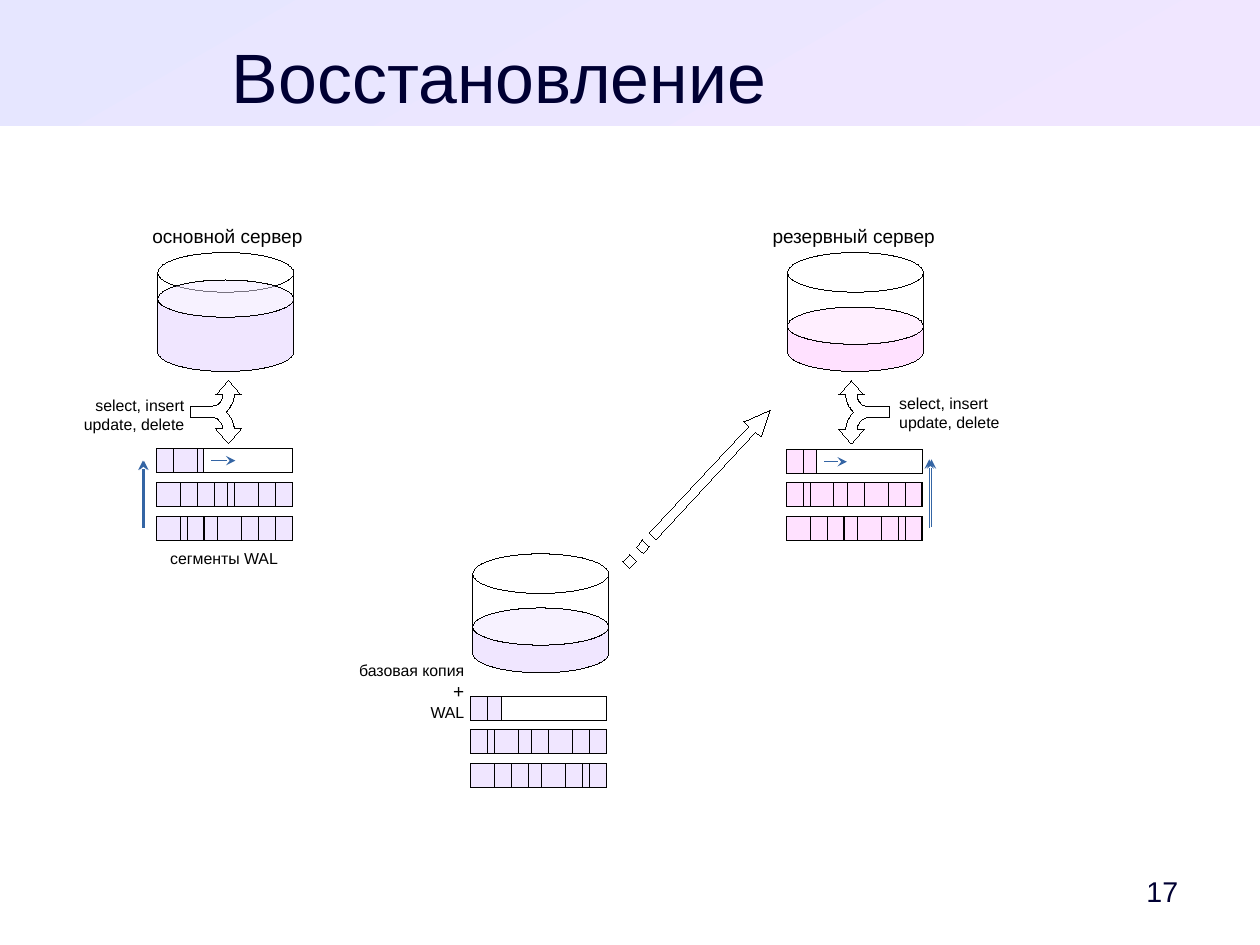
from dataclasses import dataclass
from math import cos, pi, sin
from typing import Optional

from lxml.etree import SubElement
from pptx import Presentation
from pptx.dml.color import RGBColor
from pptx.enum.shapes import MSO_CONNECTOR, MSO_SHAPE
from pptx.enum.text import MSO_ANCHOR, MSO_AUTO_SIZE, PP_ALIGN
from pptx.oxml.ns import qn
from pptx.shapes.base import BaseShape
from pptx.shapes.shapetree import SlideShapes
from pptx.util import Pt

BLACK = RGBColor(0x00, 0x00, 0x00)
WHITE = RGBColor(0xFF, 0xFF, 0xFF)
NAVY = RGBColor(0x00, 0x00, 0x33)
BLUE = RGBColor(0x34, 0x65, 0xA4)
ICE = RGBColor(0xE6, 0xE6, 0xFF)
LILAC = RGBColor(0xF0, 0xE6, 0xFF)
PINK = RGBColor(0xFF, 0xE1, 0xFF)

SLIDE_W, SLIDE_H = 793.7, 595.28
HAIRLINE = 0.01
DISK_W, DISK_H = 85.6, 74.9
LEVEL_RY = 11.7
ROW_W, ROW_H, ROW_PITCH = 85.4, 15.1, 21.25
RECORD_W = {"S": 4.3, "M": 8.5, "L": 10.65, "X": 15.0}

Point = tuple[float, float]


@dataclass
class Server:
    disk: Point
    level: float
    wal: Point
    rows: tuple[str, ...]
    color: RGBColor


@dataclass
class Fork:
    center: Point
    side: int


@dataclass
class Arrow:
    start: Point
    end: Point
    width: float


@dataclass
class Label:
    box: tuple[float, float, float, float]
    lines: tuple[tuple[str, float], ...]
    align: PP_ALIGN = PP_ALIGN.CENTER
    color: RGBColor = BLACK
    anchor: MSO_ANCHOR = MSO_ANCHOR.TOP
    inset: Point = (7.2, 3.6)


COPY_ROWS = ("LM", "LSXMLXLL", "XLLMXLSL")
SERVERS = [
    Server((496.1, 159.1), 205.2, (495.4, 283), COPY_ROWS, PINK),
    Server((297.8, 348.9), 394.7, (296.6, 438.5), COPY_ROWS, LILAC),
    Server((99.4, 159.1), 188.1, (98.6, 282.6),
           ("LXS", "XLLMSXLL", "XSLMXLLL"), LILAC),
]
FORKS = [Fork((144, 259.4), 1), Fork((536.4, 259.6), -1)]
ARROWS = [
    Arrow((90.7, 332.6), (90.7, 290.2), HAIRLINE),
    Arrow((90, 332.6), (90, 290.2), 0.85),
    Arrow((133.2, 290.2), (148.3, 290.2), 0.85),
    Arrow((586.8, 332), (586.8, 289.4), HAIRLINE),
    Arrow((585.4, 332.6), (585.4, 289.4), 0.85),
    Arrow((519.1, 290.9), (533.5, 290.9), 0.85),
]
QUERIES = (("select, insert", 10), ("update, delete", 10))
LABELS = [
    Label((33.8, 20.9, 561.6, 49.7), (("Восстановление", 44),),
          color=NAVY, inset=(0, 0)),
    Label((700.9, 544.3, 62.6, 33.8), (("17", 18),),
          color=NAVY, anchor=MSO_ANCHOR.MIDDLE),
    Label((88.6, 137.8, 109.4, 21), (("основной сервер", 12),)),
    Label((479.5, 137.8, 116.6, 21), (("резервный сервер", 12),)),
    Label((100.1, 342, 82.1, 18.7), (("сегменты WAL", 10),)),
    Label((45.1, 245.5, 78, 29.5), QUERIES, PP_ALIGN.RIGHT),
    Label((559.4, 244.1, 78, 29.5), QUERIES, PP_ALIGN.LEFT),
    Label((218.9, 412.6, 80.6, 43.2),
          (("базовая копия", 10), ("+", 12), ("WAL", 10)), PP_ALIGN.RIGHT),
]
RECOVERY_ARROW = [
    [(479.5, 275), (485.2, 258.4), (468.7, 265.7), (471.6, 268.6),
     (409, 335.5), (413.3, 339.8), (475.9, 272.2)],
    [(396.7, 357.8), (392.4, 353.5), (396.7, 349.2), (401, 353.5)],
    [(405.4, 348.5), (401, 344.9), (404.6, 339.8), (409, 344.2)],
]


def style(sp: BaseShape, fill: Optional[RGBColor]) -> None:
    sp.shadow.inherit = False
    if fill is None:
        sp.fill.background()
    else:
        sp.fill.solid()
        sp.fill.fore_color.rgb = fill
    sp.line.color.rgb = BLACK
    sp.line.width = Pt(HAIRLINE)


def add_preset(shapes: SlideShapes, kind: MSO_SHAPE, x: float, y: float,
               w: float, h: float, fill: Optional[RGBColor]) -> BaseShape:
    sp = shapes.add_shape(kind, Pt(x), Pt(y), Pt(w), Pt(h))
    style(sp, fill)
    return sp


def add_outline(shapes: SlideShapes, contours: list[list[Point]],
                fill: RGBColor) -> None:
    emu = [[(Pt(x), Pt(y)) for x, y in contour] for contour in contours]
    builder = shapes.build_freeform(*emu[0][0])
    for i, contour in enumerate(emu):
        if i:
            builder.move_to(*contour[0])
        builder.add_line_segments(contour[1:], close=True)
    style(builder.convert_to_shape(), fill)


def bezier(a: Point, b: Point, c: Point, d: Point, steps: int = 10) -> list[Point]:
    ts = [i / steps for i in range(steps + 1)]
    weights = [((1 - t) ** 3, 3 * t * (1 - t) ** 2, 3 * t * t * (1 - t), t ** 3)
               for t in ts]
    return [(sum(k * p[0] for k, p in zip(w, (a, b, c, d))),
             sum(k * p[1] for k, p in zip(w, (a, b, c, d)))) for w in weights]


def lower_arc(cx: float, cy: float, rx: float, ry: float,
              steps: int = 36) -> list[Point]:
    angles = [pi * i / steps for i in range(steps + 1)]
    return [(cx + rx * cos(a), cy + ry * sin(a)) for a in angles]


def add_disk(shapes: SlideShapes, server: Server) -> None:
    x, y = server.disk
    rx = DISK_W / 2
    add_preset(shapes, MSO_SHAPE.FLOWCHART_MAGNETIC_DISK, x, y, DISK_W, DISK_H, WHITE)
    surface = lower_arc(x + rx, server.level, rx, LEVEL_RY)
    bottom = lower_arc(x + rx, y + DISK_H * 5 / 6, rx, DISK_H / 6)
    add_outline(shapes, [surface + bottom[::-1]], server.color)
    top = add_preset(shapes, MSO_SHAPE.OVAL, x, server.level - LEVEL_RY,
                     DISK_W, 2 * LEVEL_RY, server.color)
    color = top._element.spPr.find(qn("a:solidFill")).find(qn("a:srgbClr"))
    SubElement(color, qn("a:alpha")).set("val", "50000")


def add_wal(shapes: SlideShapes, server: Server) -> None:
    left, top = server.wal
    for i, row in enumerate(server.rows):
        x, y = left, top + i * ROW_PITCH
        for record in row:
            w = RECORD_W[record]
            add_preset(shapes, MSO_SHAPE.RECTANGLE, x, y, w, ROW_H, server.color)
            x += w
        add_preset(shapes, MSO_SHAPE.RECTANGLE, left, y, ROW_W, ROW_H, None)


def add_fork(shapes: SlideShapes, fork: Fork) -> None:
    half = [(-23.8, 3.6),
            *bezier((-10.1, 3.6), (-6.5, 3.6), (-3.6, 7.2), (-3.6, 10.8)),
            (-7.9, 10.8), (0, 20), (7.9, 10.8),
            *bezier((3.6, 10.8), (3.6, 6.8), (1.4, 2.5), (-1.4, 0))]
    whole = half + [(x, -y) for x, y in half[-2::-1]]
    cx, cy = fork.center
    add_outline(shapes, [[(cx + fork.side * x, cy + y) for x, y in whole]], WHITE)


def add_arrow(shapes: SlideShapes, arrow: Arrow) -> None:
    ends = [Pt(v) for v in (*arrow.start, *arrow.end)]
    c = shapes.add_connector(MSO_CONNECTOR.STRAIGHT, *ends)
    c.line.color.rgb = BLUE
    c.line.width = Pt(arrow.width)
    sp_pr = c._element.spPr
    SubElement(sp_pr.find(qn("a:ln")), qn("a:tailEnd")).set("type", "stealth")
    SubElement(sp_pr, qn("a:effectLst"))


def add_label(shapes: SlideShapes, label: Label) -> None:
    tf = shapes.add_textbox(*[Pt(v) for v in label.box]).text_frame
    tf.word_wrap = False
    tf.auto_size = MSO_AUTO_SIZE.SHAPE_TO_FIT_TEXT
    tf.vertical_anchor = label.anchor
    tf.margin_left = tf.margin_right = Pt(label.inset[0])
    tf.margin_top = tf.margin_bottom = Pt(label.inset[1])
    for i, (text, size) in enumerate(label.lines):
        p = tf.add_paragraph() if i else tf.paragraphs[0]
        p.text = text
        p.alignment = label.align
        p.font.name = "Arial"
        p.font.size = Pt(size)
        p.font.color.rgb = label.color


def add_banner(shapes: SlideShapes) -> None:
    sp = add_preset(shapes, MSO_SHAPE.RECTANGLE, 0, 0, SLIDE_W, 79.2, None)
    sp.line.fill.background()
    sp.fill.gradient()
    sp.fill.gradient_angle = 300
    for stop, color in zip(sp.fill.gradient_stops, (ICE, LILAC)):
        stop.color.rgb = color


def main() -> None:
    prs = Presentation()
    prs.slide_width, prs.slide_height = Pt(SLIDE_W), Pt(SLIDE_H)
    shapes = prs.slides.add_slide(prs.slide_layouts[6]).shapes
    add_banner(shapes)
    for server in SERVERS:
        add_wal(shapes, server)
        add_disk(shapes, server)
    for fork in FORKS:
        add_fork(shapes, fork)
    for arrow in ARROWS:
        add_arrow(shapes, arrow)
    add_outline(shapes, RECOVERY_ARROW, WHITE)
    for label in LABELS:
        add_label(shapes, label)
    prs.save("out.pptx")


if __name__ == "__main__":
    main()
